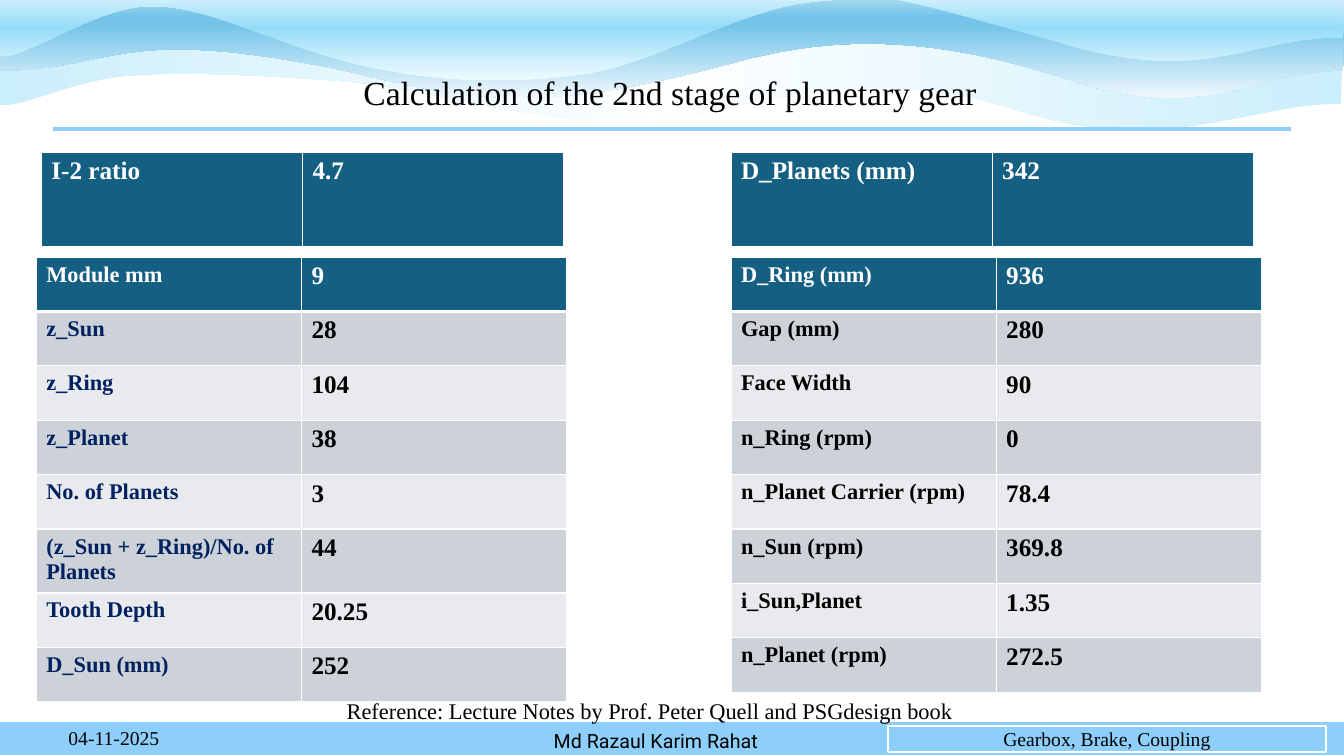
import pptx
import pptx.util
import pptx.oxml.ns
import pptx.dml.color
import pptx.enum.text
import pptx.enum.shapes
from lxml import etree

Inches, Pt = pptx.util.Inches, pptx.util.Pt
qn = pptx.oxml.ns.qn
Align = pptx.enum.text.PP_ALIGN
Anchor = pptx.enum.text.MSO_ANCHOR
Kind = pptx.enum.shapes.MSO_SHAPE
Link = pptx.enum.shapes.MSO_CONNECTOR

COLORS = {
    "white": "FFFFFF", "black": "000000", "navy": "002060",
    "sky": "8ECEFA", "head": "156082", "dark": "CCD2D8", "light": "E8EAED",
    "pale": "CAEEFB", "ice": "F0F8FD", "blue": "74C4E9", "mist": "A2D8F0",
    "foam": "EFFCFF", "aqua": "96DCF8",
}
SERIF = "Times New Roman"

# Each wave: lower edge from right to left (start, then Bezier triples),
# the two upper corners, gradient stops and gradient angle.
WAVES = [
    ([(13.3, 1.03), (12.37, 1.02), (11.52, 1.59), (9.99, 1.06),
      (8.27, 0.54), (7.21, 1.24), (6.1, 1.2),
      (4.99, 1.16), (4.21, 0.87), (3.35, 0.8),
      (2.49, 0.74), (1.83, 0.71), (1.27, 0.75),
      (0.71, 0.79), (0.14, 1.11), (-0.02, 1.03)],
     [(-0.04, 0.3), (13.32, 0.34)],
     [(0, "pale"), (50, "white"), (100, "pale")], 0),
    ([(13.32, 0.7), (12.39, 0.7), (11.96, 1.28), (10.44, 0.74),
      (8.71, 0.2), (7.73, 0.5), (7.06, 0.68),
      (5.28, 1.14), (4.59, 0.98), (3.46, 0.71),
      (1.13, 0.22), (1.15, 0.7), (0, 0.7)],
     [(0.01, 0), (13.33, 0)],
     [(0, "mist"), (17, "blue"), (26, "blue"), (100, "ice")], 270),
    ([(13.32, 0.37), (12.39, 0.36), (11.96, 0.88), (10.44, 0.4),
      (8.72, -0.08), (8.91, -0.05), (8.13, 0.01),
      (7.35, 0.06), (6.53, 0.64), (5.76, 0.74),
      (4.98, 0.84), (4.24, 0.81), (3.47, 0.62),
      (2.58, 0.38), (2.07, 0.06), (1.5, 0.06),
      (0.92, 0.06), (0.22, 0.63), (-0.03, 0.55)],
     [(0.01, -0.25), (13.33, -0.22)],
     [(0, "white"), (50, "aqua"), (100, "foam")], 270),
]

GEARS = [("Module mm", "9"), ("z_Sun", "28"), ("z_Ring", "104"),
         ("z_Planet", "38"), ("No. of Planets", "3"),
         ("(z_Sun + z_Ring)/No. of Planets", "44"),
         ("Tooth Depth", "20.25"), ("D_Sun (mm)", "252")]
SPEEDS = [("D_Ring (mm)", "936"), ("Gap (mm)", "280"), ("Face Width", "90"),
          ("n_Ring (rpm)", "0"), ("n_Planet Carrier (rpm)", "78.4"),
          ("n_Sun (rpm)", "369.8"), ("i_Sun,Planet", "1.35"),
          ("n_Planet (rpm)", "272.5")]


def rgb(name):
    return pptx.dml.color.RGBColor.from_string(COLORS[name])


def write(frame, text, size=14, color="black", font=SERIF, bold=False,
          align=Align.CENTER, space=1.0):
    frame.word_wrap = True
    para = frame.paragraphs[0]
    para.alignment = align
    para.line_spacing = space
    run = para.add_run()
    run.text = text
    run.font.size = Pt(size)
    run.font.name = font
    run.font.bold = bold
    run.font.color.rgb = rgb(color)


def trace(nodes, steps=20):
    """Points along a chain of cubic Bezier curves."""
    points = [nodes[0]]
    for i in range(0, len(nodes) - 1, 3):
        for step in range(1, steps + 1):
            t = step / steps
            parts = ((1 - t) ** 3, 3 * t * (1 - t) ** 2,
                     3 * t * t * (1 - t), t ** 3)
            points.append(tuple(
                sum(p * node[axis] for p, node in zip(parts, nodes[i:i + 4]))
                for axis in (0, 1)))
    return points


def border(cell, **widths):
    """White cell borders; widths in points by side L, R, T, B."""
    props = cell._tc.get_or_add_tcPr()
    for side in "LRTB":
        line = etree.SubElement(props, qn("a:ln" + side),
                                w=str(Pt(widths.get(side, 1))))
        fill = etree.SubElement(line, qn("a:solidFill"))
        etree.SubElement(fill, qn("a:srgbClr"), val=COLORS["white"])


class Page:
    def __init__(self, slide):
        self.shapes = slide.shapes

    def wave(self, edge, top, stops, angle):
        points = [(Inches(x), Inches(y)) for x, y in trace(edge) + top]
        path = self.shapes.build_freeform(*points[0])
        path.add_line_segments(points[1:], close=True)
        shape = path.convert_to_shape()
        shape.shadow.inherit = False
        shape.line.fill.background()
        shape.fill.gradient()
        shape.fill.gradient_angle = angle
        ramp = next(shape._element.iter(qn("a:gsLst")))
        for old in list(ramp):
            ramp.remove(old)
        for pos, name in stops:
            stop = etree.SubElement(ramp, qn("a:gs"), pos=str(pos * 1000))
            etree.SubElement(stop, qn("a:srgbClr"), val=COLORS[name])

    def rect(self, *box):
        shape = self.shapes.add_shape(Kind.RECTANGLE, *map(Inches, box))
        shape.shadow.inherit = False
        shape.fill.solid()
        shape.fill.fore_color.rgb = rgb("sky")
        shape.line.color.rgb = rgb("white")
        shape.line.width = Pt(1.5)
        shape.text_frame.vertical_anchor = Anchor.MIDDLE
        return shape

    def text(self, box, text, anchor=Anchor.MIDDLE, **style):
        frame = self.shapes.add_textbox(*map(Inches, box)).text_frame
        frame.vertical_anchor = anchor
        write(frame, text, **style)

    def rule(self, left, right, y):
        line = self.shapes.add_connector(
            Link.STRAIGHT, Inches(left), Inches(y), Inches(right), Inches(y))
        line.line.color.rgb = rgb("sky")
        line.line.width = Pt(3)
        etree.SubElement(line._element.spPr, qn("a:effectLst"))

    def table(self, left, top, width, height, rows, size=16, label="black"):
        """Two columns with a header row; height is that of one row."""
        grid = self.shapes.add_table(
            len(rows), 2, Inches(left), Inches(top), Inches(width),
            Inches(height * len(rows))).table
        for r, row in enumerate(rows):
            grid.rows[r].height = Inches(height)
            for c, text in enumerate(row):
                cell = grid.cell(r, c)
                border(cell, T=3 if r == 1 else 1, B=3 if r == 0 else 1)
                cell.fill.solid()
                shade = "head" if r == 0 else ("light", "dark")[r % 2]
                cell.fill.fore_color.rgb = rgb(shade)
                color = "white" if r == 0 else (label, "black")[c]
                write(cell.text_frame, text, size=(size, 18)[c], color=color,
                      bold=True, align=Align.LEFT)


def main():
    deck = pptx.Presentation()
    deck.slide_width, deck.slide_height = Inches(13.33), Inches(7.5)
    page = Page(deck.slides.add_slide(deck.slide_layouts[6]))

    for wave in WAVES:
        page.wave(*wave)
    page.rect(-0.01, 7.15, 13.35, 0.35)
    page.text((0.53, 0.55, 12.23, 0.78),
              "Calculation of the 2nd stage of planetary gear",
              size=24, space=0.9)
    page.rule(0.53, 12.8, 1.28)
    topic = page.rect(8.81, 7.2, 4.34, 0.26)
    write(topic.text_frame, "Gearbox, Brake, Coupling")
    page.text((-1.93, 7.13, 6.12, 0.4), "04-11-2025", space=0.9)

    page.table(0.36, 2.55, 5.26, 0.54, GEARS, label="navy")
    page.table(0.41, 1.51, 5.18, 0.95, [("I-2 ratio", "4.7")], size=18)
    page.text((3.34, 6.87, 7.49, 0.37),
              "Reference: Lecture Notes by Prof. Peter Quell and PSGdesign book",
              anchor=Anchor.TOP, size=16, align=Align.LEFT)
    page.table(7.25, 1.51, 5.18, 0.95, [("D_Planets (mm)", "342")], size=18)
    page.table(7.25, 2.55, 5.26, 0.54, SPEEDS)
    page.text((5.22, 7.15, 2.57, 0.4), "Md Razaul Karim Rahat", font="Roboto")

    deck.save("out.pptx")


if __name__ == "__main__":
    main()
